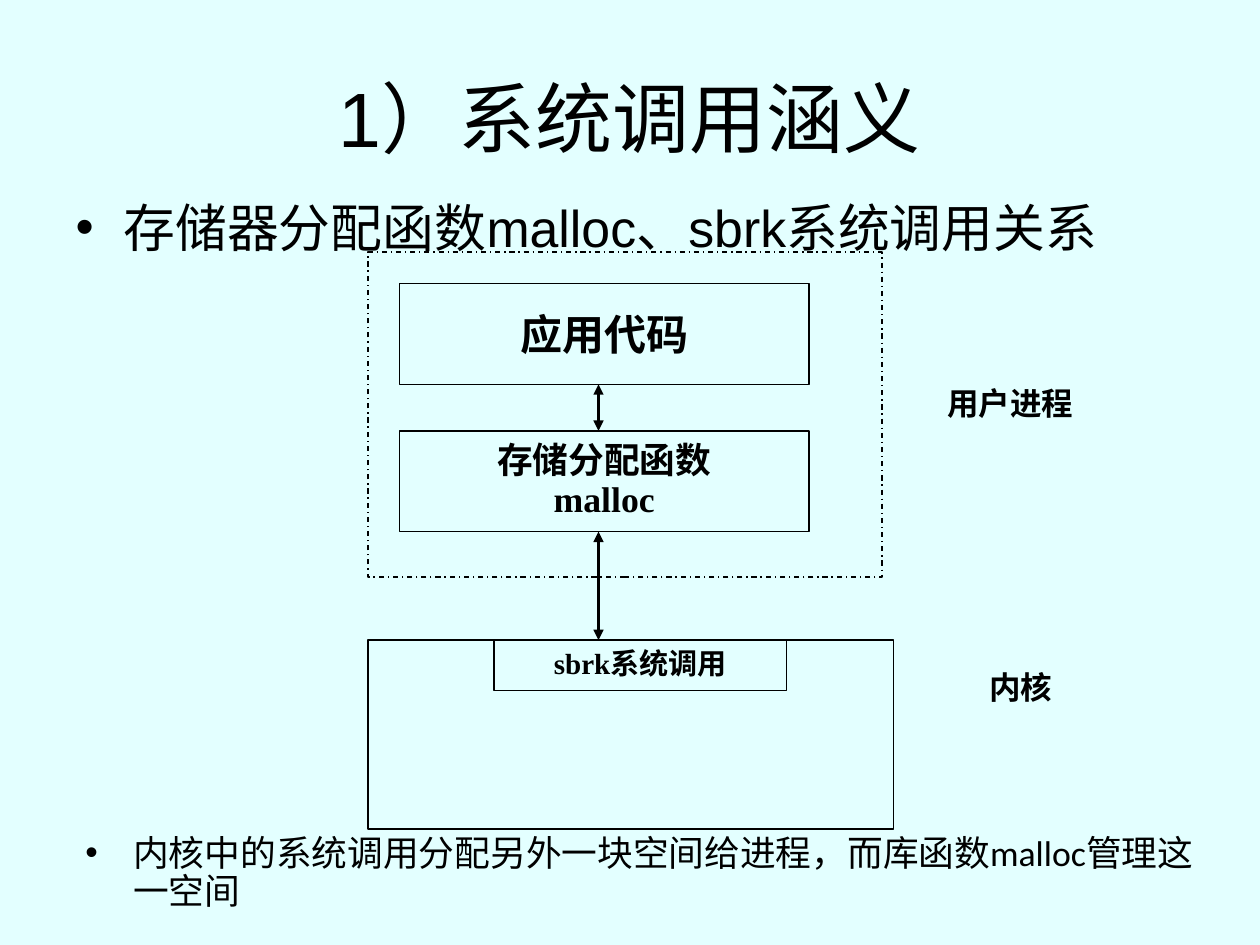
from lxml.etree import SubElement as Sub
from pptx import Presentation
from pptx.dml.color import RGBColor
from pptx.enum.dml import MSO_LINE as Dash
from pptx.enum.shapes import MSO_CONNECTOR as Conn, MSO_SHAPE as Shape
from pptx.enum.text import MSO_ANCHOR as Anchor, MSO_AUTO_SIZE as Fit, PP_ALIGN as Align
from pptx.oxml.ns import qn
from pptx.util import Inches, Pt

INK, PAPER = "000000", "E3FFFF"
SERIF = "Times New Roman"


def paint(color, code):
    """Set a colour format from a hex string."""
    color.rgb = RGBColor.from_string(code)


def place(shape, box):
    """Move a shape to a box given in inches."""
    shape.left, shape.top, shape.width, shape.height = map(Inches, box)


def write(frame, text, size, face, bold=False, align=Align.CENTER, lead=None):
    """Fill a text frame, one paragraph for each line."""
    frame.text = text
    for para in frame.paragraphs:
        para.alignment, para.line_spacing = align, lead
        font = para.font
        font.size, font.name, font.bold = Pt(size), face, bold
        paint(font.color, INK)


def title(slide, box, text):
    """Place the slide title."""
    shape = slide.shapes.title
    place(shape, box)
    frame = shape.text_frame
    frame.auto_size, frame.vertical_anchor = Fit.NONE, Anchor.MIDDLE
    write(frame, text, 44, "Arial")


def point(shape, box, text, size, face, gap, lead=None):
    """Place a bullet point with a hanging indent."""
    place(shape, box)
    frame = shape.text_frame
    frame.word_wrap, frame.auto_size = True, Fit.NONE
    write(frame, text, size, face, align=Align.LEFT, lead=lead)
    para = frame.paragraphs[0]
    para.space_before = Pt(gap)
    props = para._p.get_or_add_pPr()
    props.set("marL", str(Inches(0.38)))
    props.set("indent", str(-Inches(0.38)))
    font = props.find(qn("a:defRPr"))
    for tag, key, value in (("a:buFont", "typeface", "Arial"), ("a:buChar", "char", "•")):
        mark = Sub(props, qn(tag))
        mark.set(key, value)
        if font is not None:
            font.addprevious(mark)


def block(group, box, text="", size=18, lead=None, dash=None):
    """Draw an outlined box with a centred bold label."""
    shape = group.shapes.add_shape(Shape.RECTANGLE, *map(Inches, box))
    shape.shadow.inherit = False
    shape.fill.background()
    paint(shape.line.color, INK)
    shape.line.width, shape.line.dash_style = Pt(0.75), dash
    if text:
        frame = shape.text_frame
        frame.vertical_anchor = Anchor.MIDDLE
        write(frame, text, size, SERIF, True, lead=lead)


def label(group, box, text):
    """Add a bold side label."""
    frame = group.shapes.add_textbox(*map(Inches, box)).text_frame
    frame.word_wrap, frame.auto_size = False, Fit.SHAPE_TO_FIT_TEXT
    frame.vertical_anchor = Anchor.MIDDLE
    write(frame, text, 18, SERIF, True)


def arrow(group, x, top, end):
    """Draw a vertical line with a head at both ends."""
    line = group.shapes.add_connector(Conn.STRAIGHT, *map(Inches, (x, top, x, end)))
    paint(line.line.color, INK)
    line.line.width = Pt(1.5)
    for tag in ("a:headEnd", "a:tailEnd"):
        Sub(line.line._get_or_add_ln(), qn(tag)).set("type", "triangle")
    Sub(line._element.spPr, qn("a:effectLst"))


def diagram(slide, box):
    """Draw the user process above the kernel, joined by calls."""
    left, top, wide, high = box
    group = slide.shapes.add_group_shape()
    core, base = top + 3.08, top + high
    app, alloc = top + 0.25, top + 1.42
    inner, axis = left + 0.25, left + 1.83
    block(group, (left + 1, core, 2.32, 0.4), "sbrk系统调用", 16.6, 0.9)
    block(group, (inner, app, 3.25, 0.8), "应用代码", 24)
    block(group, (inner, alloc, 3.25, 0.8), "存储分配函数\nmalloc", 20.4, 0.9)
    block(group, (left, core, wide, base - core))
    label(group, (left + 4.5, top + 1, 1.2, 0.4), "用户进程")
    label(group, (left + 4.83, core + 0.17, 0.7, 0.4), "内核")
    block(group, (left, top, 4.08, 2.58), dash=Dash.DASH_DOT)
    arrow(group, axis, alloc + 0.8, core)
    arrow(group, axis, app + 0.8, alloc)


def main():
    """Build and save the slide."""
    deck = Presentation()
    deck.slide_width, deck.slide_height = Inches(10), Inches(7.5)
    slide = deck.slides.add_slide(deck.slide_layouts[1])
    fill = slide.background.fill
    fill.solid()
    paint(fill.fore_color, PAPER)
    title(slide, (0.5, 0.3, 9, 1.25), "1）系统调用涵义")
    point(slide.placeholders[1], (0.5, 1.5, 9, 0.83),
          "存储器分配函数malloc、sbrk系统调用关系", 29.6, "Arial", 8)
    diagram(slide, (2.92, 2, 4.17, 4.58))
    note = slide.shapes.add_textbox(0, 0, 0, 0)
    point(note, (0.58, 6.58, 9, 0.83),
          "内核中的系统调用分配另外一块空间给进程，而库函数malloc管理这一空间",
          20.4, "Calibri", 6, 0.9)
    deck.save("out.pptx")


if __name__ == "__main__":
    main()
